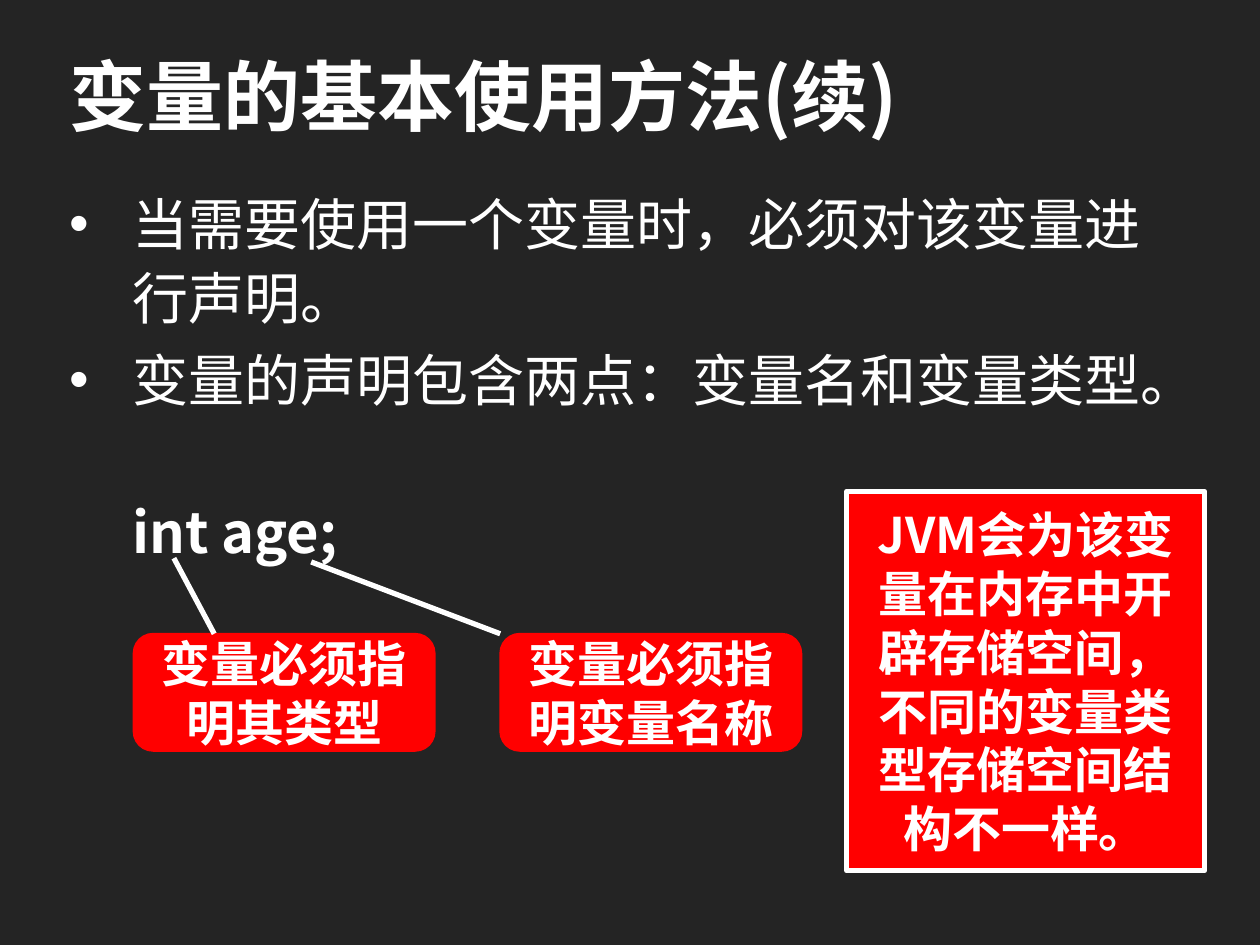
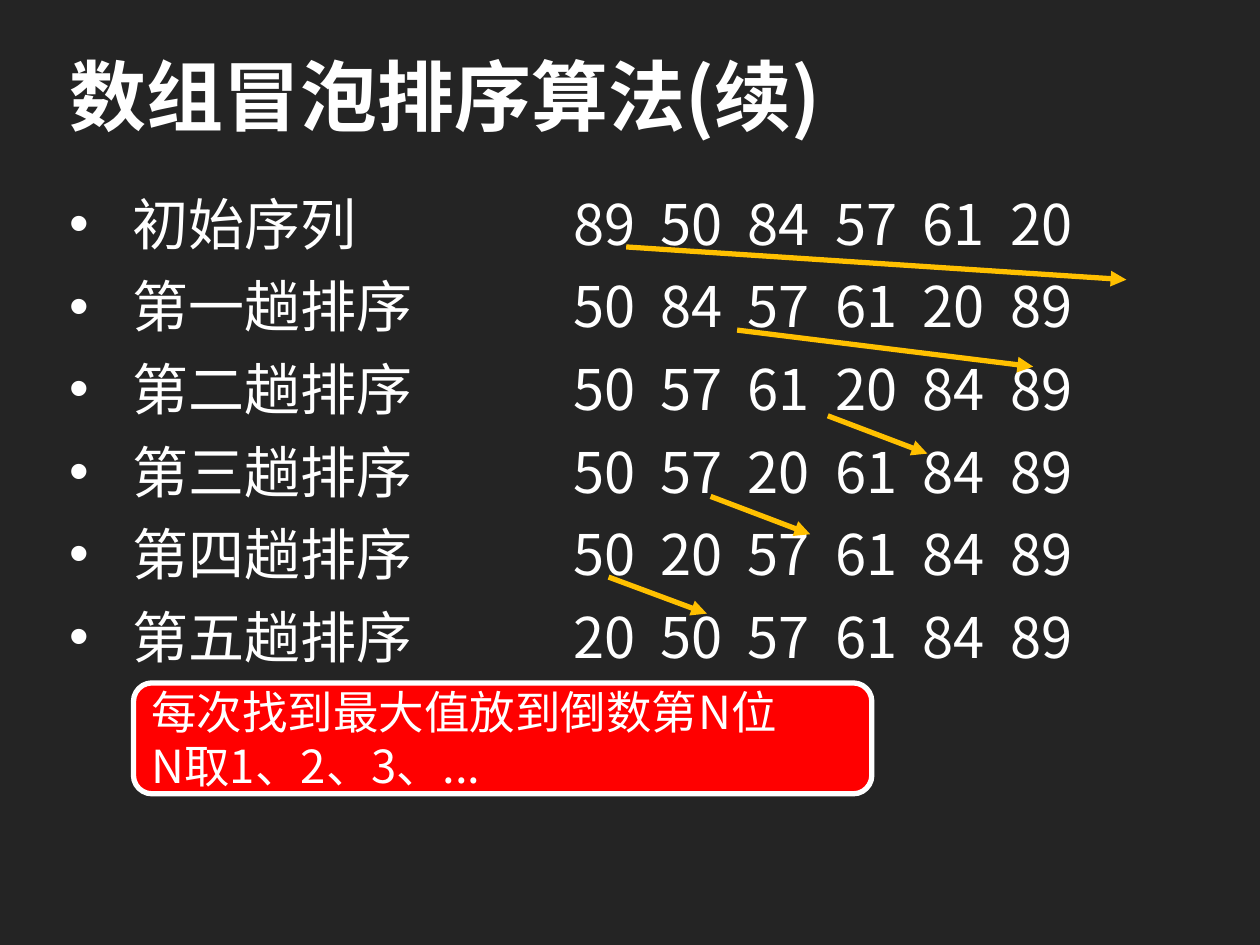
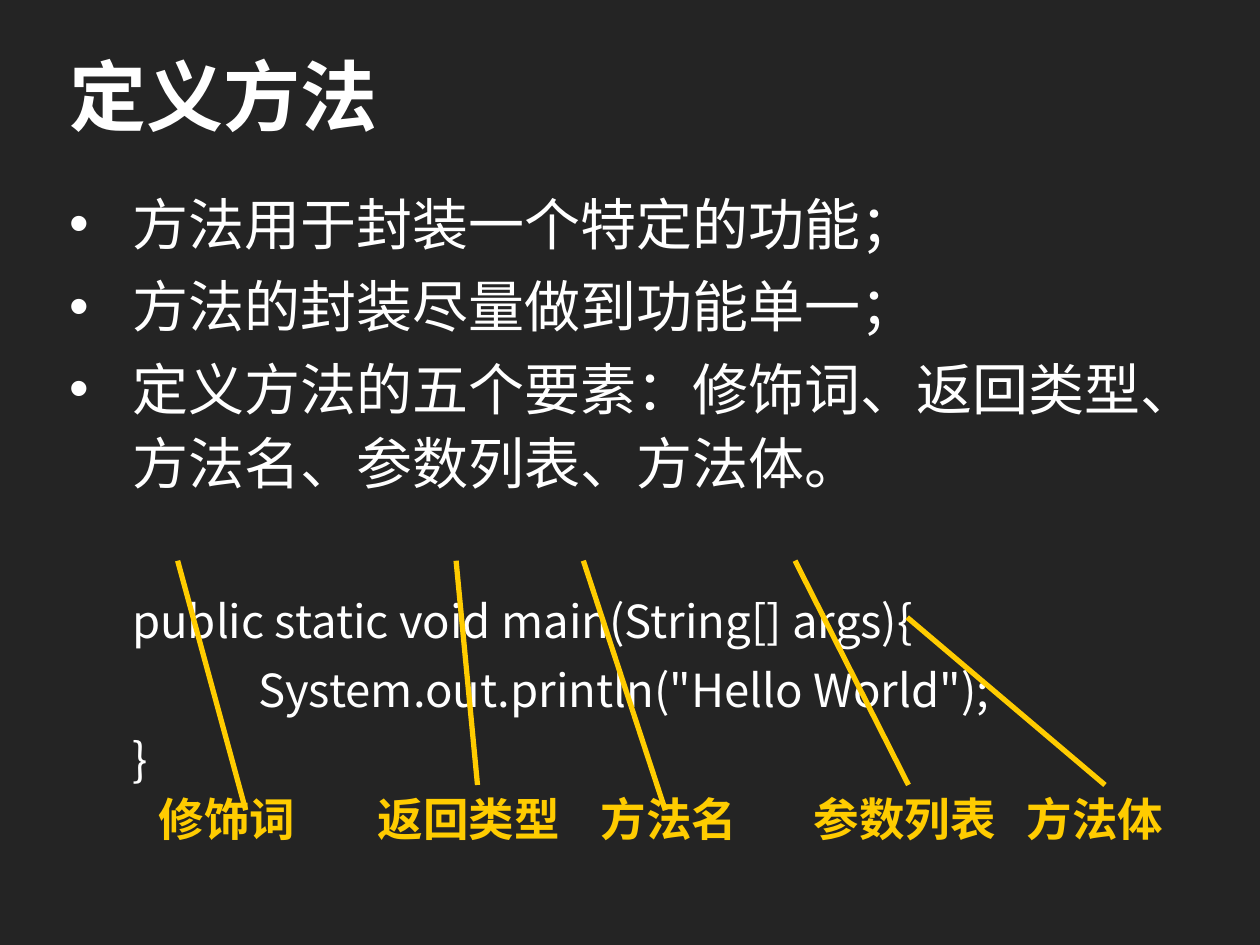
from dataclasses import dataclass

from lxml.etree import SubElement
from pptx import Presentation
from pptx.dml.color import RGBColor
from pptx.enum.shapes import MSO_CONNECTOR, MSO_SHAPE
from pptx.enum.text import MSO_ANCHOR, PP_ALIGN
from pptx.oxml.ns import qn
from pptx.util import Inches, Pt


@dataclass(frozen=True)
class Theme:
    font: str = "Noto Sans CJK SC"
    background: RGBColor = RGBColor(0x24, 0x24, 0x24)
    white: RGBColor = RGBColor(0xFF, 0xFF, 0xFF)
    red: RGBColor = RGBColor(0xFF, 0x00, 0x00)
    amber: RGBColor = RGBColor(0xFF, 0xC0, 0x00)
    yellow: RGBColor = RGBColor(0xFF, 0xCC, 0x00)
    title_size: int = 44
    body_size: int = 32
    callout_size: int = 28
    small_size: int = 26
    line_width: int = 3


theme = Theme()


def add_text(paragraph, text, size, color=theme.white, bold=False, spacing=None):
    """Add one span of text in the deck's font."""
    span = paragraph.add_run()
    span.text = text
    formats = {"name": theme.font, "size": Pt(size), "bold": bold}
    for name, value in formats.items():
        setattr(span.font, name, value)
    span.font.color.rgb = color
    properties = span.font._element
    SubElement(properties, qn("a:ea"), typeface=theme.font)
    if spacing:
        properties.set("spc", str(spacing))


def add_line(page, start, end, color, arrow=False):
    """Add a straight line, with an arrowhead at its end if asked."""
    line = page.shapes.add_connector(
        MSO_CONNECTOR.STRAIGHT, *[Inches(value) for value in start + end])
    line.line.color.rgb = color
    line.line.width = Pt(theme.line_width)
    if arrow:
        SubElement(line.line._get_or_add_ln(), qn("a:tailEnd"), type="triangle")
    SubElement(line._element.spPr, qn("a:effectLst"))
    return line


deck = Presentation()
deck.slide_width, deck.slide_height = Inches(10), Inches(7.5)
background = deck.slide_master.background.fill
background.solid()
background.fore_color.rgb = theme.background

# Sorting passes: a label and the numbers after each pass
passes = [
    ("初始序列", "89 50 84 57 61 20"),
    ("第一趟排序", "50 84 57 61 20 89"),
    ("第二趟排序", "50 57 61 20 84 89"),
    ("第三趟排序", "50 57 20 61 84 89"),
    ("第四趟排序", "50 20 57 61 84 89"),
    ("第五趟排序", "20 50 57 61 84 89"),
]

# Title, bullets, and code lines with their size and the space above them
contents = [
    ("变量的基本使用方法(续)",
     ["当需要使用一个变量时，必须对该变量进行声明。",
      "变量的声明包含两点：变量名和变量类型。"],
     ["int age;"], theme.body_size, True, 44.5),
    ("数组冒泡排序算法(续)",
     [f"{label}\t\t{numbers}" for label, numbers in passes],
     [], theme.body_size, False, 5),
    ("定义方法",
     ["方法用于封装一个特定的功能；",
      "方法的封装尽量做到功能单一；",
      "定义方法的五个要素：修饰词、返回类型、方法名、参数列表、方法体。"],
     ["public static void main(String[] args){",
      "\tSystem.out.println(\"Hello World\");",
      "}"], theme.small_size, False, 52.5),
]

# Titles and body text of all pages
pages = []
for title, bullets, code, code_size, code_bold, code_gap in contents:
    page = deck.slides.add_slide(deck.slide_layouts[6])
    pages.append(page)
    title_box = page.shapes.add_textbox(
        Inches(0.45), Inches(0.23), Inches(9.09), Inches(1.04))
    title_box.text_frame.word_wrap = True
    title_box.text_frame.vertical_anchor = MSO_ANCHOR.MIDDLE
    add_text(title_box.text_frame.paragraphs[0], title, theme.title_size, bold=True)

    body = page.shapes.add_textbox(
        Inches(0.45), Inches(1.4), Inches(9.11), Inches(5.55)).text_frame
    body.word_wrap = True
    for index, text in enumerate(bullets + code):
        para = body.add_paragraph() if index else body.paragraphs[0]
        is_bullet = index < len(bullets)
        para.line_spacing = 1.1
        para.space_before = Pt(code_gap if index == len(bullets) else 5)
        properties = para._p.get_or_add_pPr()
        properties.set("marL", str(Inches(0.5)))
        properties.set("indent", str(Inches(-0.5 if is_bullet else 0)))
        properties.set("defTabSz", str(Inches(1)))
        if is_bullet:
            SubElement(properties, qn("a:buFont"), typeface="Arial")
            SubElement(properties, qn("a:buChar"), char="•")
        size = theme.body_size if is_bullet else code_size
        bold = code_bold and not is_bullet
        # Widen the single spaces between numbers
        words = text.split(" ") if "\t\t" in text else [text]
        for position, word in enumerate(words):
            if position:
                add_text(para, " ", size, spacing=720)
            add_text(para, word, size, bold=bold)

variable_page, sorting_page, method_page = pages

# Red callouts
rounded, square = MSO_SHAPE.ROUNDED_RECTANGLE, MSO_SHAPE.RECTANGLE
callouts = [
    (variable_page, rounded, (1.06, 5.03, 2.39, 0.93), theme.red, 1,
     ["变量必须指明其类型"], theme.callout_size, True, PP_ALIGN.CENTER),
    (variable_page, rounded, (3.97, 5.03, 2.39, 0.93), theme.red, 1,
     ["变量必须指明变量名称"], theme.callout_size, True, PP_ALIGN.CENTER),
    (variable_page, square, (6.72, 3.9, 2.84, 3.01), theme.white, theme.line_width,
     ["JVM会为该变量在内存中开辟存储空间，不同的变量类型存储空间结构不一样。"],
     theme.callout_size, True, PP_ALIGN.CENTER),
    (sorting_page, rounded, (1.06, 5.42, 5.86, 0.88), theme.white, theme.line_width,
     ["每次找到最大值放到倒数第N位", "N取1、2、3、..."],
     theme.small_size, False, PP_ALIGN.LEFT),
]
for page, outline, place, border, width, lines, size, bold, alignment in callouts:
    box = page.shapes.add_shape(outline, *[Inches(value) for value in place])
    box.shadow.inherit = False
    box.fill.solid()
    box.fill.fore_color.rgb = theme.red
    box.line.color.rgb = border
    box.line.width = Pt(width)
    frame = box.text_frame
    frame.word_wrap = True
    frame.vertical_anchor = MSO_ANCHOR.MIDDLE
    for index, text in enumerate(lines):
        para = frame.add_paragraph() if index else frame.paragraphs[0]
        para.alignment = alignment
        add_text(para, text, size, bold=bold)

# Lines from the declaration to its callouts
for start, end in [((1.38, 4.43), (1.7, 5.03)), ((2.47, 4.46), (3.97, 5.03))]:
    add_line(variable_page, start, end, theme.white)

# Arrows that follow the largest value of each pass
moves = [
    ((4.97, 1.96), (8.94, 2.22)),
    ((5.85, 2.62), (8.2, 2.91)),
    ((6.57, 3.3), (7.36, 3.6)),
    ((5.64, 3.94), (6.43, 4.24)),
    ((4.83, 4.58), (5.61, 4.87)),
]
for start, end in moves:
    add_line(sorting_page, start, end, theme.amber, arrow=True)

# Names of the method's parts, each with a line to the code
parts = [
    ("修饰词", 1.16, 1.51, (1.41, 4.45), (1.95, 6.43), False),
    ("返回类型", 2.9, 1.78, (3.62, 4.45), (3.77, 6.23), True),
    ("方法名", 4.67, 1.45, (4.63, 4.45), (5.28, 6.43), False),
    ("参数列表", 6.36, 1.93, (6.31, 4.45), (7.21, 6.23), False),
    ("方法体", 8.05, 1.63, (7.2, 4.9), (8.77, 6.23), False),
]
for name, left, width, start, end, joined in parts:
    label = method_page.shapes.add_textbox(
        Inches(left), Inches(6.23), Inches(width), Inches(0.57))
    label.text_frame.word_wrap = True
    add_text(label.text_frame.paragraphs[0], name, theme.small_size, theme.yellow, True)
    line = add_line(method_page, start, end, theme.yellow)
    if joined:
        line.end_connect(label, 0)

deck.save("out.pptx")
